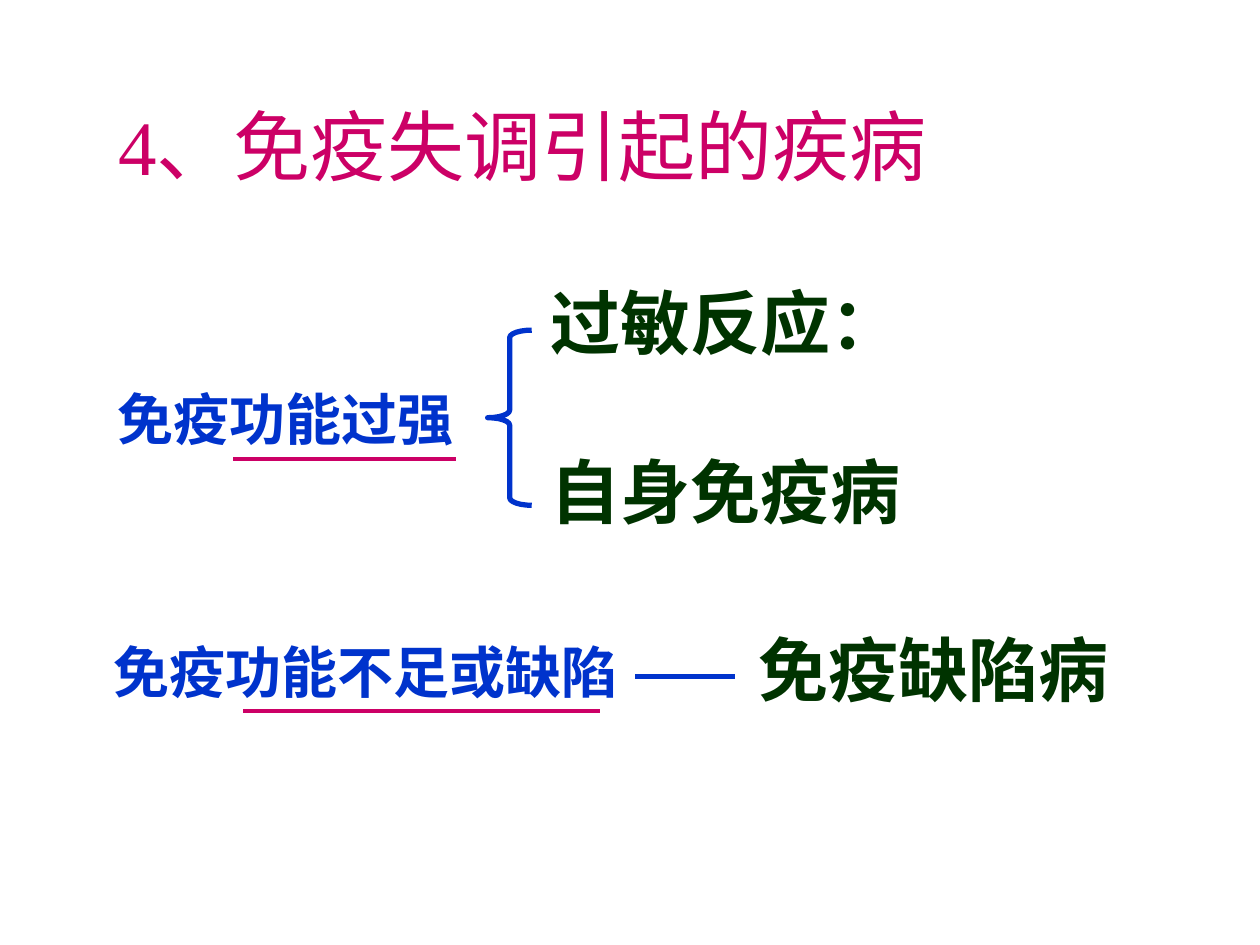
from lxml import etree
from pptx import Presentation
from pptx.dml.color import RGBColor
from pptx.enum.shapes import MSO_CONNECTOR, MSO_SHAPE
from pptx.enum.text import MSO_ANCHOR
from pptx.oxml.ns import qn
from pptx.util import Inches, Pt

STRAIGHT = MSO_CONNECTOR.STRAIGHT
BRACE = MSO_SHAPE.LEFT_BRACE
MIDDLE = MSO_ANCHOR.MIDDLE

WIDE, HIGH = 10, 7.5
COLS, ROWS = 100, 75
PINK, BLUE, GREEN = "CC0066", "0033CC", "003300"
SERIF, SANS = "Times New Roman", "Noto Sans CJK SC"


def paint(form, tone):
    form.rgb = RGBColor.from_string(tone)


def write(frame, text, size=40, tone=GREEN, face=SANS, bold=True):
    run = frame.paragraphs[0].add_run()
    run.text = text
    font = run.font
    font.size, font.bold, font.name = Pt(size), bold, face
    paint(font.color, tone)
    east = etree.SubElement(run._r.get_or_add_rPr(), qn("a:ea"))
    east.set("typeface", SANS)


class Board:
    def __init__(self, deck):
        self.slide = deck.slides.add_slide(deck.slide_layouts[6])
        self.shapes = self.slide.shapes
        paint_back = self.slide.background.fill
        paint_back.solid()
        paint(paint_back.fore_color, "FFFFFF")

    def place(self, col, row, wide, high):
        return (Inches(col * WIDE / COLS), Inches(row * HIGH / ROWS),
                Inches(wide * WIDE / COLS), Inches(high * HIGH / ROWS))

    def label(self, text, col, row, wide, high=6.7, **style):
        box = self.shapes.add_textbox(*self.place(col, row, wide, high))
        frame = box.text_frame
        frame.word_wrap = True
        frame.vertical_anchor = MIDDLE
        frame.margin_left = frame.margin_right = 0
        frame.margin_top = frame.margin_bottom = 0
        write(frame, text, **style)

    def rule(self, col, row, wide, tone=PINK, width=2.25):
        left, top, span, _ = self.place(col, row, wide, 0)
        line = self.shapes.add_connector(STRAIGHT, left, top, left + span, top)
        paint(line.line.color, tone)
        line.line.width = Pt(width)
        etree.SubElement(line._element.spPr, qn("a:effectLst"))

    def brace(self, col, row, wide, high):
        shape = self.shapes.add_shape(BRACE, *self.place(col, row, wide, high))
        shape.shadow.inherit = False
        shape.fill.background()
        shape.adjustments[0] = 0.17
        paint(shape.line.color, BLUE)
        shape.line.width = Pt(3)


def main():
    deck = Presentation()
    deck.slide_width, deck.slide_height = Inches(WIDE), Inches(HIGH)
    board = Board(deck)
    cause = {"size": 32, "tone": BLUE, "face": SERIF}

    board.label("4、免疫失调引起的疾病", 9.4, 7.3, 70, 8.4,
                size=44, tone=PINK, face=SERIF, bold=False)

    board.label("免疫功能过强", 9.3, 30, 28, 6.4, **cause)
    board.rule(18.5, 36.4, 17.7)
    board.brace(38.7, 26.2, 3.5, 13.9)
    for step, text in enumerate(("过敏反应：", "自身免疫病")):
        board.label(text, 43.7, 22.2 + step * 13.4, 45.7)

    board.label("免疫功能不足或缺陷", 9, 50.1, 46, 6.4, **cause)
    board.rule(19.3, 56.4, 28.3)
    board.rule(50.4, 53.7, 7.9, tone=BLUE, width=2.5)
    board.label("免疫缺陷病", 60.2, 49.7, 38)

    deck.save("out.pptx")


if __name__ == "__main__":
    main()
